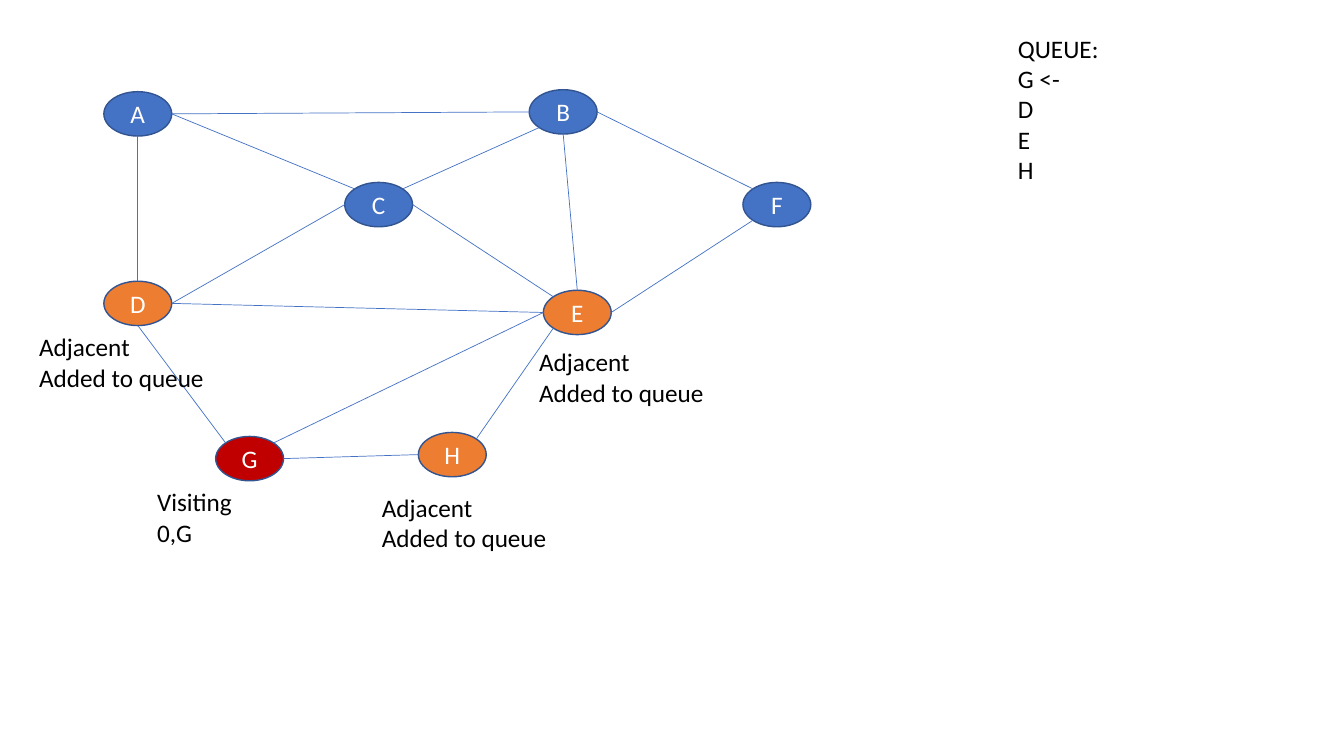
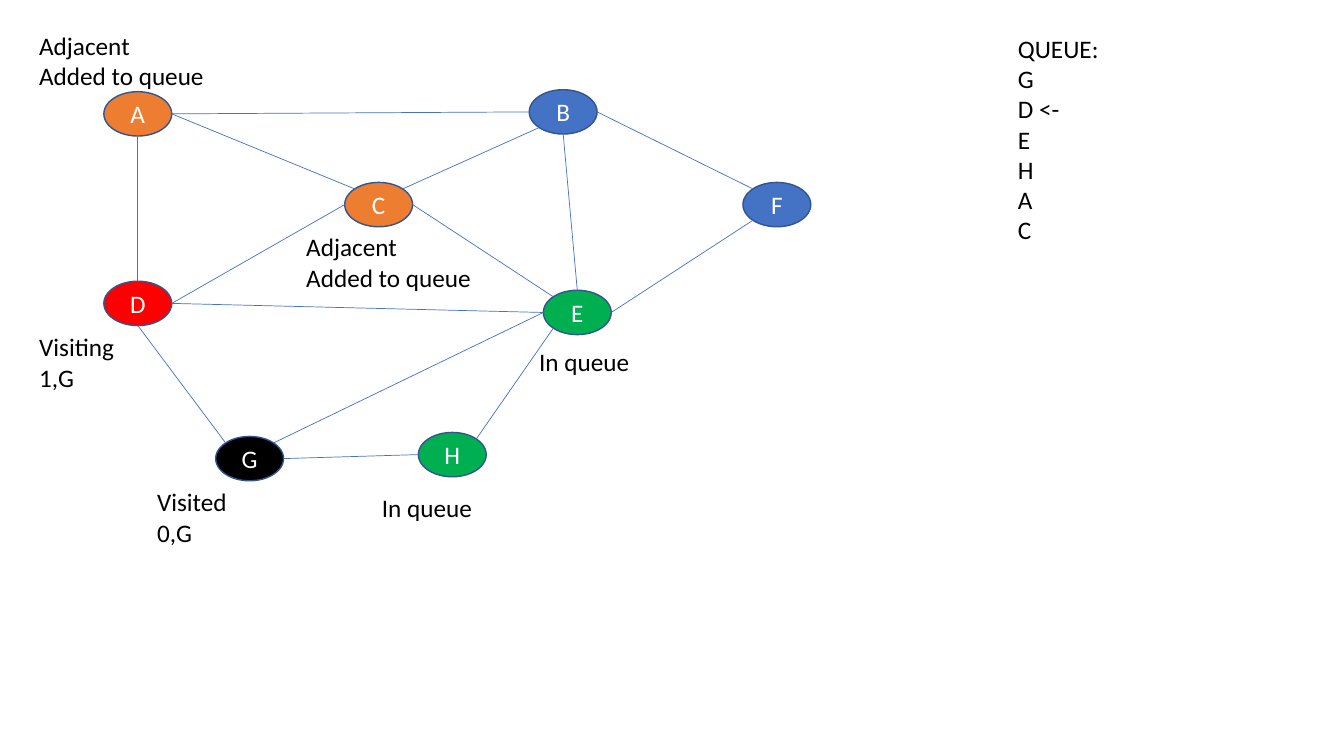
from math import cos, radians, sin

from lxml.etree import SubElement
from pptx import Presentation
from pptx.dml.color import RGBColor
from pptx.enum.shapes import MSO_CONNECTOR as Connector, MSO_SHAPE as Shape
from pptx.enum.text import MSO_ANCHOR as Anchor, MSO_AUTO_SIZE as AutoSize, PP_ALIGN as Align
from pptx.oxml.ns import qn
from pptx.util import Inches, Pt

BLUE = RGBColor(0x44, 0x72, 0xC4)
OUTLINE = RGBColor(0x32, 0x54, 0x91)
ORANGE = RGBColor(0xED, 0x7D, 0x31)
DARK_RED = RGBColor(0xC0, 0x00, 0x00)
RED = RGBColor(0xFF, 0x00, 0x00)
GREEN = RGBColor(0x00, 0xB0, 0x50)
BLACK = RGBColor(0x00, 0x00, 0x00)
WHITE = RGBColor(0xFF, 0xFF, 0xFF)

presentation = Presentation()
presentation.slide_width = Inches(13.33)
presentation.slide_height = Inches(7.5)
COLUMN = presentation.slide_width / 100
ROW = presentation.slide_height / 100
NODE_WIDTH, NODE_HEIGHT = 5.05, 5.87
LABEL_WIDTH, QUEUE_WIDTH = 14.1, 10.58
TEXT_PADDING, TEXT_LINE = 1.33, 4.03

NODES = {
    "A": (7.73, 12.13), "D": (7.73, 37.2), "G": (16.05, 57.73), "C": (25.65, 24.13),
    "B": (39.38, 11.87), "E": (40.43, 38.4), "H": (31.13, 57.2), "F": (55.28, 24.13),
}
LABELS = {
    "G": (10.95, 63.73), "D": (2.18, 43.2), "H": (27.68, 64.4),
    "E": (39.38, 45.2), "A": (2.18, 3.33), "C": (22.05, 30),
}
TOP, TOP_LEFT, LEFT, BOTTOM_LEFT, BOTTOM, BOTTOM_RIGHT, RIGHT, TOP_RIGHT = range(8)
EDGES = [
    ("A", RIGHT, "C", TOP_LEFT), ("A", RIGHT, "B", LEFT),
    ("A", BOTTOM, "D", TOP), ("D", BOTTOM, "G", TOP_LEFT),
    ("G", RIGHT, "H", LEFT), ("H", TOP_RIGHT, "E", BOTTOM_LEFT),
    ("E", RIGHT, "F", BOTTOM_LEFT), ("B", RIGHT, "F", TOP_LEFT),
    ("B", BOTTOM, "E", TOP), ("D", RIGHT, "C", LEFT),
    ("C", TOP_RIGHT, "B", BOTTOM_LEFT), ("D", RIGHT, "E", LEFT),
    ("C", RIGHT, "E", TOP_LEFT), ("G", TOP_RIGHT, "E", LEFT),
]
ADDED = "Adjacent\nAdded to queue"
STEPS = [
    {
        "fills": {"D": ORANGE, "E": ORANGE, "H": ORANGE, "G": DARK_RED},
        "queue": "QUEUE:\nG <-\nD\nE\nH",
        "labels": {"G": "Visiting\n0,G", "D": ADDED, "H": ADDED, "E": ADDED},
    },
    {
        "fills": {"A": ORANGE, "C": ORANGE, "D": RED, "G": BLACK, "E": GREEN, "H": GREEN},
        "queue": "QUEUE:\nG\nD <-\nE\nH\nA\nC",
        "labels": {"G": "Visited\n0,G", "D": "Visiting\n1,G", "H": "In queue",
                   "E": "In queue", "A": ADDED, "C": ADDED},
    },
]


def write(shape, text, color=BLACK, align=Align.LEFT, anchor=Anchor.TOP, fit=AutoSize.NONE):
    frame = shape.text_frame
    frame.text = text
    frame.word_wrap = True
    frame.auto_size = fit
    frame.vertical_anchor = anchor
    for paragraph in frame.paragraphs:
        paragraph.alignment = align
        paragraph.font.name = "Calibri"
        paragraph.font.size = Pt(18)
        paragraph.font.color.rgb = color


def site_point(node, site):
    angle = radians(45 * site)
    x = node.left + node.width / 2 * (1 - sin(angle))
    y = node.top + node.height / 2 * (1 - cos(angle))
    return round(x), round(y)


for step in STEPS:
    slide = presentation.slides.add_slide(presentation.slide_layouts[6])
    nodes = {}
    for name, (column, row) in NODES.items():
        node = slide.shapes.add_shape(
            Shape.OVAL, round(column * COLUMN), round(row * ROW),
            round(NODE_WIDTH * COLUMN), round(NODE_HEIGHT * ROW))
        node.shadow.inherit = False
        node.fill.solid()
        node.fill.fore_color.rgb = step["fills"].get(name, BLUE)
        node.line.color.rgb = OUTLINE
        node.line.width = Pt(1)
        write(node, name, color=WHITE, align=Align.CENTER, anchor=Anchor.MIDDLE)
        nodes[name] = node

    for start, start_site, end, end_site in EDGES:
        edge = slide.shapes.add_connector(
            Connector.STRAIGHT,
            *site_point(nodes[start], start_site), *site_point(nodes[end], end_site))
        edge.line.color.rgb = BLUE
        edge.line.width = Pt(0.5)
        SubElement(edge.element.spPr, qn("a:effectLst"))
        joints = edge.element.find(".//" + qn("p:cNvCxnSpPr"))
        for tag, name, site in (("a:stCxn", start, start_site), ("a:endCxn", end, end_site)):
            SubElement(joints, qn(tag), id=str(nodes[name].shape_id), idx=str(site))

    texts = [(75, 3.73, QUEUE_WIDTH, step["queue"])]
    texts += [(*LABELS[name], LABEL_WIDTH, label) for name, label in step["labels"].items()]
    for column, row, width, text in texts:
        height = TEXT_PADDING + TEXT_LINE * len(text.splitlines())
        box = slide.shapes.add_textbox(
            round(column * COLUMN), round(row * ROW), round(width * COLUMN), round(height * ROW))
        write(box, text, fit=AutoSize.SHAPE_TO_FIT_TEXT)

presentation.save("out.pptx")
